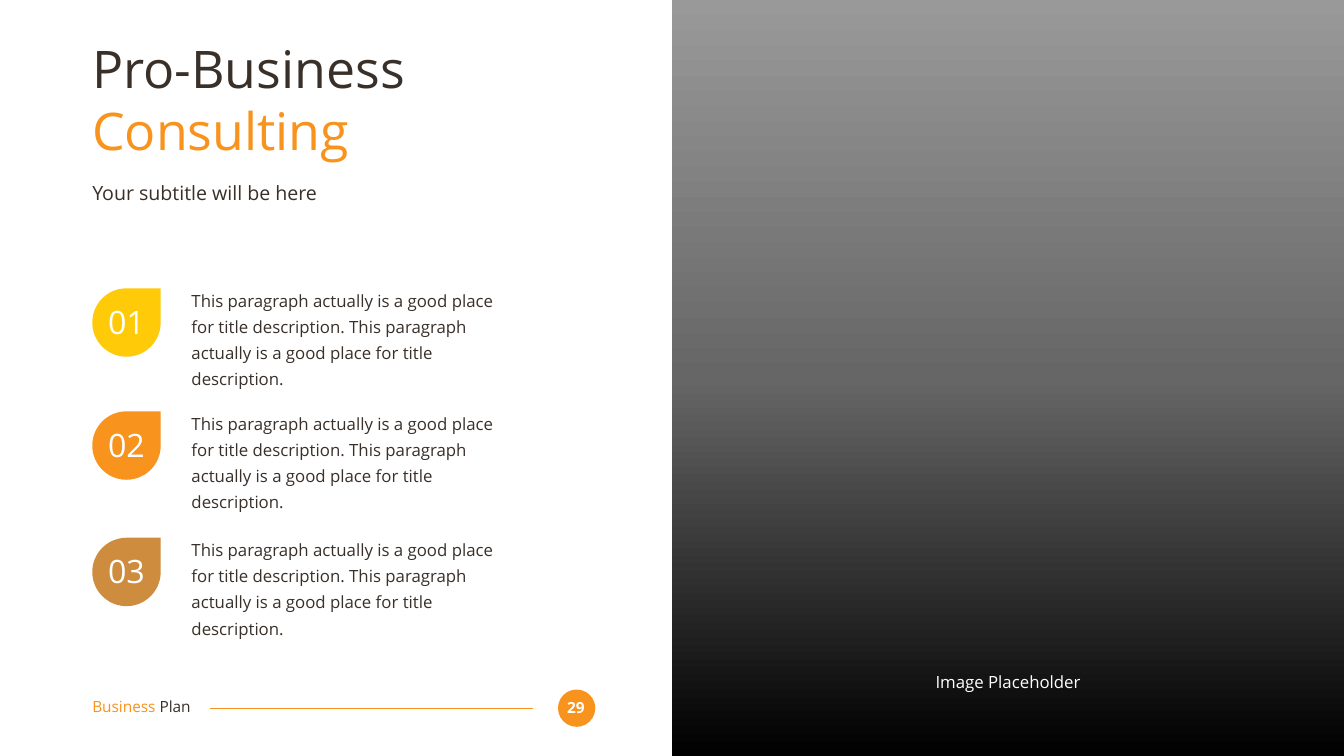
from copy import deepcopy
from pptx import Presentation
from pptx.dml.color import RGBColor
from pptx.enum.shapes import MSO_CONNECTOR, MSO_SHAPE
from pptx.enum.text import PP_ALIGN
from pptx.oxml.ns import qn
from pptx.util import Cm, Pt
from lxml import etree

LEFT, MID = PP_ALIGN.LEFT, PP_ALIGN.CENTER
OVAL, DROP, RECT = MSO_SHAPE.OVAL, MSO_SHAPE.TEAR, MSO_SHAPE.RECTANGLE
STRAIGHT = MSO_CONNECTOR.STRAIGHT

THEME = {
    "font": "Open Sans",
    "dark": "39302A", "main": "F8931D", "white": "FFFFFF",
    "gold": "FFCA08", "tan": "CE8D3E",
    "fade": [(0, "000000"), (0.5, "666666"), (1, "999999")],
    "title": 74, "sub": 28, "body": 24, "num": 46, "foot": 22,
}

TITLE = [("Pro-Business ", "dark"), ("Consulting", "main")]
SUB = [("Your subtitle will be here", "dark")]
BODY = [("This paragraph actually is a good place for title description. "
         "This paragraph actually is a good place for title description.", "dark")]
ITEMS = [("01", "gold", 14.53), ("02", "main", 20.73), ("03", "tan", 27.1)]
FOOT = [("Business ", "main"), ("Plan", "dark")]
PAGE = [("29", "white")]
LABEL = [("Image Placeholder", "white")]

WIDE, HIGH = 67.73, 38.1
EDGE, DROP_W, TEXT_X = 4.65, 3.45, 9.65


def tint(name):
    return RGBColor.from_string(THEME.get(name, name))


def put(item, form):
    for key, val in form.items():
        setattr(item, key, val)


def add_text(slide, box, runs, size, bold=False, **form):
    frame = slide.shapes.add_textbox(*map(Cm, box)).text_frame
    put(frame, {"word_wrap": True, "margin_left": 0, "margin_right": 0,
                "margin_top": 0, "margin_bottom": 0})
    para = frame.paragraphs[0]
    put(para, {"alignment": LEFT, **form})
    for text, name in runs:
        run = para.add_run()
        run.text = text
        put(run.font, {"name": THEME["font"], "size": Pt(THEME[size]), "bold": bold})
        run.font.color.rgb = tint(name)


def add_form(slide, kind, box, name=None):
    shape = slide.shapes.add_shape(kind, *map(Cm, box))
    shape.shadow.inherit = False
    shape.line.fill.background()
    if name:
        shape.fill.solid()
        shape.fill.fore_color.rgb = tint(name)
    return shape


def add_fade(slide):
    shape = add_form(slide, RECT, (WIDE / 2, 0, WIDE / 2, HIGH))
    fill = shape.fill
    fill.gradient()
    fill.gradient_angle = 90
    stops = next(shape._element.iter(qn("a:gsLst")))
    stops.append(deepcopy(stops[-1]))
    for stop, (place, name) in zip(fill.gradient_stops, THEME["fade"]):
        stop.position = place
        stop.color.rgb = tint(name)


def add_foot(slide):
    add_form(slide, OVAL, (28.12, 34.75, 1.88, 1.88), "main")
    add_text(slide, (28.27, 35.18, 1.5, 0.94), PAGE, "foot", True, alignment=MID)
    rule = slide.shapes.add_connector(STRAIGHT, Cm(26.85), Cm(35.69), Cm(10.57), Cm(35.69))
    rule.line.color.rgb = tint("main")
    rule.line.width = Pt(1.5)
    etree.SubElement(rule._element.spPr, qn("a:effectLst"))
    add_text(slide, (EDGE, 35.15, 6.58, 0.94), FOOT, "foot")


def main():
    deck = Presentation()
    put(deck, {"slide_width": Cm(WIDE), "slide_height": Cm(HIGH)})
    slide = deck.slides.add_slide(deck.slide_layouts[6])
    add_foot(slide)
    add_text(slide, (EDGE, 1.85, 25.15, 6.4), TITLE, "title")
    add_text(slide, (EDGE, 9.12, 25.15, 1.24), SUB, "sub")
    for num, name, top in ITEMS:
        add_text(slide, (TEXT_X, top - 0.2, 15.95, 3.89), BODY, "body", line_spacing=1.3)
        drop = add_form(slide, DROP, (EDGE, top, DROP_W, DROP_W), name)
        drop.adjustments[0] = 1
        add_text(slide, (EDGE + 0.33, top + 0.7, 2.79, 1.96), [(num, "white")], "num",
                 alignment=MID)
    add_fade(slide)
    add_text(slide, (41.86, 33.83, 17.88, 1.02), LABEL, "body", alignment=MID)
    deck.save("out.pptx")


if __name__ == "__main__":
    main()
